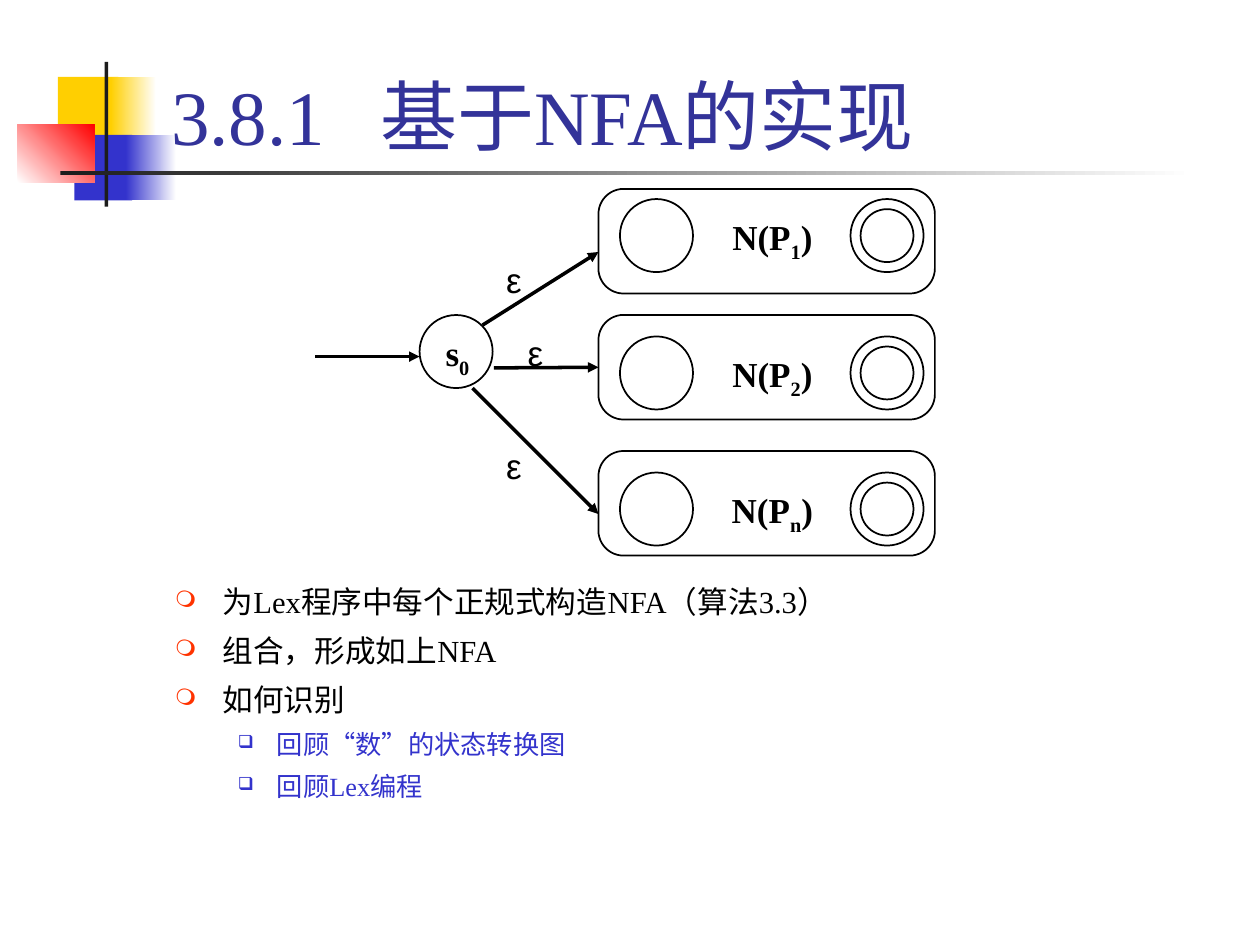
from lxml.etree import SubElement as Sub
from pptx import Presentation as Deck
from pptx.dml.color import RGBColor as Color
from pptx.enum.shapes import MSO_CONNECTOR as Link, MSO_SHAPE as Kind
from pptx.enum.text import MSO_ANCHOR as Anchor, PP_ALIGN as Align
from pptx.oxml.ns import qn
from pptx.util import Inches, Pt

HUES = {"gold": "FFCF01", "blue": "3333CC", "red": "FF0000", "dark": "1C1C1C",
        "white": "FFFFFF", "title": "333399", "black": "000000", "mark": "FF3300"}
SERIF, SANS = "Times New Roman", "Arial"


class Page:
    def __init__(self, slide):
        self.slide = slide
        self.shapes = slide.shapes

    def hue(self, name):
        return Color.from_string(HUES[name])

    def shape(self, kind, *box):
        item = self.shapes.add_shape(kind, *map(Inches, box))
        item.shadow.inherit = False
        return item

    def block(self, box, start, end=None, angle=0):
        fill = self.shape(Kind.RECTANGLE, *box)
        fill.line.fill.background()
        fill = fill.fill
        if end is None:
            fill.solid()
            fill.fore_color.rgb = self.hue(start)
            return
        fill.gradient()
        fill.gradient_angle = angle
        for stop, name in zip(fill.gradient_stops, (start, end)):
            stop.color.rgb = self.hue(name)

    def outline(self, kind, *box):
        item = self.shape(kind, *box)
        item.fill.background()
        item.line.color.rgb = self.hue("black")
        item.line.width = Pt(1)
        return item

    def ring(self, left, top, size=0.58):
        self.outline(Kind.OVAL, left, top, size, size)

    def arrow(self, start, end, goal=None):
        line = self.shapes.add_connector(Link.STRAIGHT, *map(Inches, start + end))
        if goal is not None:
            line.end_connect(goal, 1)
        line.line.color.rgb = self.hue("black")
        line.line.width = Pt(2)
        Sub(line.line._get_or_add_ln(), qn("a:tailEnd"), type="triangle")
        Sub(line._element.spPr, qn("a:effectLst"))

    def frame(self, *box):
        frame = self.shapes.add_textbox(*map(Inches, box)).text_frame
        frame.word_wrap = True
        return frame

    def run(self, para, text, size, face=SERIF, hue="black", bold=False, base=0):
        run = para.add_run()
        run.text = text
        run.font.size = Pt(size)
        run.font.name = face
        run.font.bold = bold
        run.font.color.rgb = self.hue(hue)
        if base:
            run._r.get_or_add_rPr().set("baseline", str(base * 1000))

    def title(self, box, parts, stop):
        frame = self.frame(*box)
        frame.vertical_anchor = Anchor.BOTTOM
        para = frame.paragraphs[0]
        tabs = Sub(para._p.get_or_add_pPr(), qn("a:tabLst"))
        Sub(tabs, qn("a:tab"), pos=str(Inches(stop)), algn="l")
        self.run(para, "\t".join(parts), 44, hue="title")

    def label(self, box, *runs, face=SERIF, bold=True):
        para = self.frame(*box).paragraphs[0]
        para.alignment = Align.CENTER
        for text, base in runs:
            self.run(para, text, 20, face, bold=bold, base=base)

    def bullets(self, box, items):
        styles = [(0.38, 0.38, 7, "❍", "mark", 75, 17.5, "black"),
                  (0.81, 0.31, 6, "❑", "blue", 69, 15, "blue")]
        frame = self.frame(*box)
        for i, (level, text) in enumerate(items):
            left, hang, gap, sign, tint, share, size, hue = styles[level]
            para = frame.add_paragraph() if i else frame.paragraphs[0]
            para.level = level
            prop = para._p.get_or_add_pPr()
            prop.set("marL", str(Inches(left)))
            prop.set("indent", str(-Inches(hang)))
            Sub(Sub(prop, qn("a:buClr")), qn("a:srgbClr"), val=HUES[tint])
            Sub(prop, qn("a:buSzPct"), val=str(share * 1000))
            Sub(prop, qn("a:buChar"), char=sign)
            para.space_before = Pt(gap if i else 0)
            self.run(para, text, size, hue=hue)


def main():
    deck = Deck()
    deck.slide_width, deck.slide_height = Inches(10), Inches(7.5)
    page = Page(deck.slides.add_slide(deck.slide_layouts[6]))

    page.block((0.46, 0.61, 0.48, 0.52), "gold")
    page.block((0.88, 0.61, 0.36, 0.52), "gold", "white")
    page.block((0.59, 1.07, 0.46, 0.52), "blue")
    page.block((1, 1.07, 0.4, 0.52), "blue", "white")
    page.block((0.14, 0.99, 0.61, 0.46), "white", "red", 45)
    page.block((0.83, 0.49, 0.03, 1.15), "dark")
    page.block((0.48, 1.36, 9, 0.03), "dark", "white")

    page.title((1.26, 0.08, 8.52, 1.25), ("3.8.1", "基于NFA的实现"), 1.66)
    page.bullets((1.29, 4.58, 8.5, 1.83), [
        (0, "为Lex程序中每个正规式构造NFA（算法3.3）"),
        (0, "组合，形成如上NFA"),
        (0, "如何识别"),
        (1, "回顾“数”的状态转换图"),
        (1, "回顾Lex编程")])

    page.ring(3.33, 2.5)
    page.label((3.42, 2.58, 0.42, 0.48), ("s", 0), ("0", -25))

    boxes = []
    for sub, top, ring in (("1", 1.5, 1.58), ("2", 2.5, 2.67), ("n", 3.58, 3.75)):
        box = page.outline(Kind.ROUNDED_RECTANGLE, 4.75, top, 2.67, 0.83)
        box.adjustments[0] = 0.24
        boxes.append(box)
        page.ring(4.92, ring)
        page.ring(6.75, ring)
        page.ring(6.83, ring + 0.08, 0.42)
        page.label((5.42, ring + 0.08, 1.42, 0.48),
                   ("N(P", 0), (sub, -25), (")", 0))

    page.arrow((2.5, 2.83), (3.33, 2.83))
    page.arrow((3.83, 2.58), (4.75, 2))
    page.arrow((3.92, 2.92), (4.75, 2.92), boxes[1])
    page.arrow((3.75, 3.08), (4.75, 4.08))
    for left, top in ((3.58, 2), (3.75, 2.58), (3.58, 3.48)):
        page.label((left, top, 1, 0.44), ("ε", 0), face=SANS, bold=False)

    deck.save("out.pptx")


if __name__ == "__main__":
    main()
